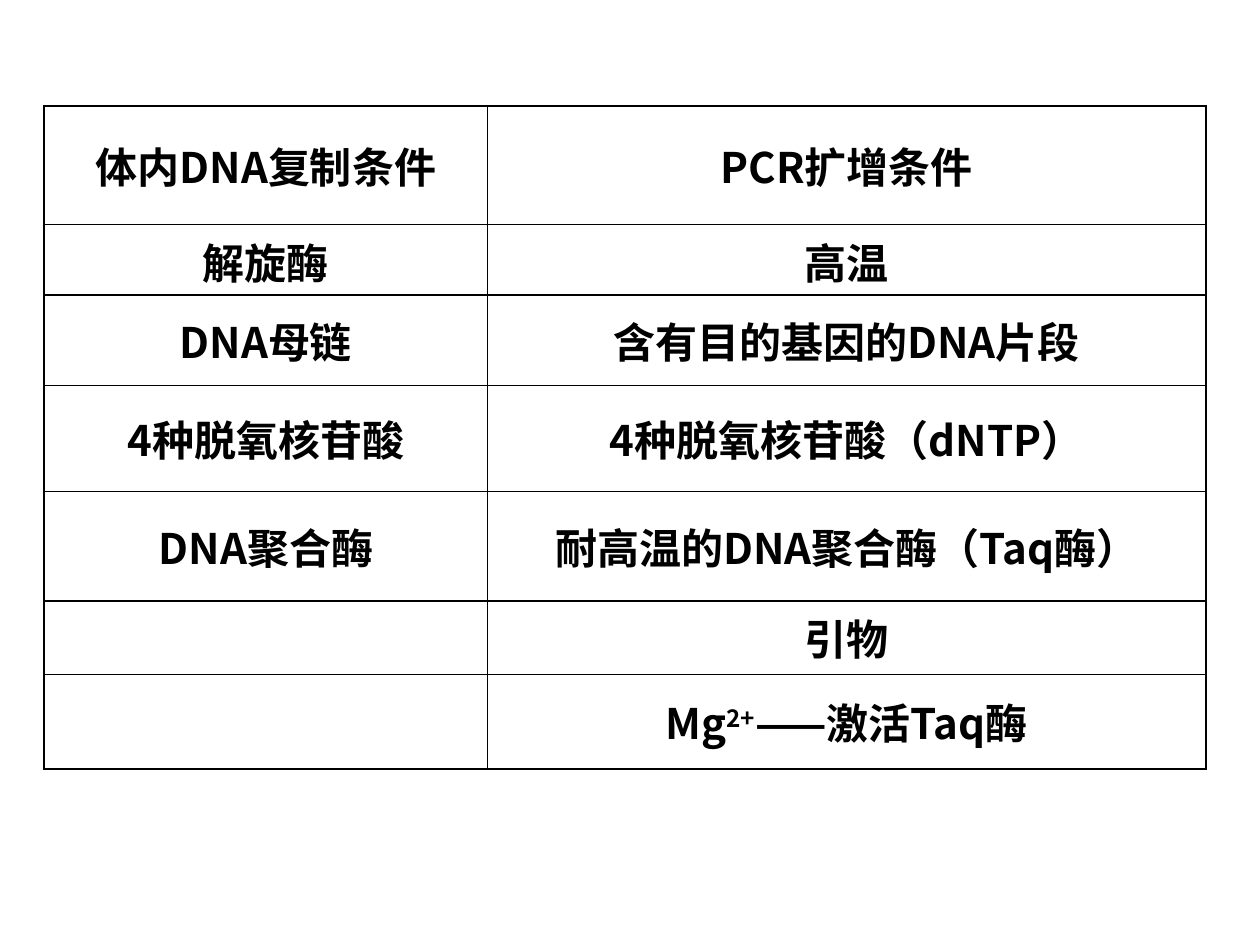
from lxml import etree
from pptx import Presentation
from pptx.dml.color import RGBColor
from pptx.enum.text import MSO_ANCHOR, PP_ALIGN
from pptx.oxml.ns import qn
from pptx.util import Inches, Pt

CENTER = PP_ALIGN.CENTER
TOP, MIDDLE = MSO_ANCHOR.TOP, MSO_ANCHOR.MIDDLE
FONT = "Noto Sans CJK SC"
COLORS = {"ink": "000000"}
COLUMN_WIDTHS = (3.52, 5.7)
SUPERSCRIPT = "2+"
ROWS = (
    (0.94, MIDDLE, ["体内DNA复制条件"], ["PCR扩增条件"]),
    (0.56, TOP, ["解旋酶"], ["高温"]),
    (0.72, MIDDLE, ["DNA母链"], ["含有目的基因的DNA片段"]),
    (0.84, MIDDLE, ["4种脱氧核苷酸"], ["4种脱氧核苷酸（dNTP）"]),
    (0.87, MIDDLE, ["DNA聚合酶"], ["耐高温的DNA聚合酶（Taq酶）"]),
    (0.58, MIDDLE, [], ["引物"]),
    (0.75, MIDDLE, [], ["Mg", SUPERSCRIPT, "——激活Taq酶"]),
)


def add_span(para, text):
    """Add one bold run, raised when it is the ion charge."""
    span = para.add_run()
    span.text = text
    span.font.size = Pt(24)
    span.font.bold = True
    span.font.name = FONT
    span.font.color.rgb = RGBColor.from_string(COLORS["ink"])
    properties = span.font._element
    etree.SubElement(properties, qn("a:ea"), typeface=FONT)
    if text == SUPERSCRIPT:
        properties.set("baseline", "30000")


def add_borders(cell):
    """Draw a thin line on all four sides of a cell."""
    properties = cell._tc.get_or_add_tcPr()
    for position, side in enumerate(("lnL", "lnR", "lnT", "lnB")):
        line = etree.Element(qn(f"a:{side}"), w=str(Pt(1)))
        fill = etree.SubElement(line, qn("a:solidFill"))
        etree.SubElement(fill, qn("a:srgbClr"), val=COLORS["ink"])
        properties.insert(position, line)


def fill_cell(cell, spans, anchor):
    """Write the runs of a cell and set its look."""
    cell.fill.background()
    add_borders(cell)
    cell.vertical_anchor = anchor
    if anchor == TOP:
        cell.margin_bottom = Inches(0.02)
    para = cell.text_frame.paragraphs[0]
    para.alignment = CENTER
    for text in spans:
        add_span(para, text)


def add_comparison_table(page, left, top):
    """Place the table comparing replication in cells with PCR."""
    width = sum(COLUMN_WIDTHS)
    height = sum(row[0] for row in ROWS)
    table = page.shapes.add_table(
        len(ROWS), len(COLUMN_WIDTHS),
        Inches(left), Inches(top), Inches(width), Inches(height),
    ).table
    table.first_row = False
    table.horz_banding = False
    for column, column_width in zip(table.columns, COLUMN_WIDTHS):
        column.width = Inches(column_width)
    for row, (row_height, anchor, *contents) in zip(table.rows, ROWS):
        row.height = Inches(row_height)
        for cell, spans in zip(row.cells, contents):
            fill_cell(cell, spans, anchor)


def main():
    """Build the deck and save it."""
    deck = Presentation()
    deck.slide_width, deck.slide_height = Inches(10), Inches(7.5)
    page = deck.slides.add_slide(deck.slide_layouts[6])
    add_comparison_table(page, 0.35, 0.84)
    deck.save("out.pptx")


if __name__ == "__main__":
    main()
